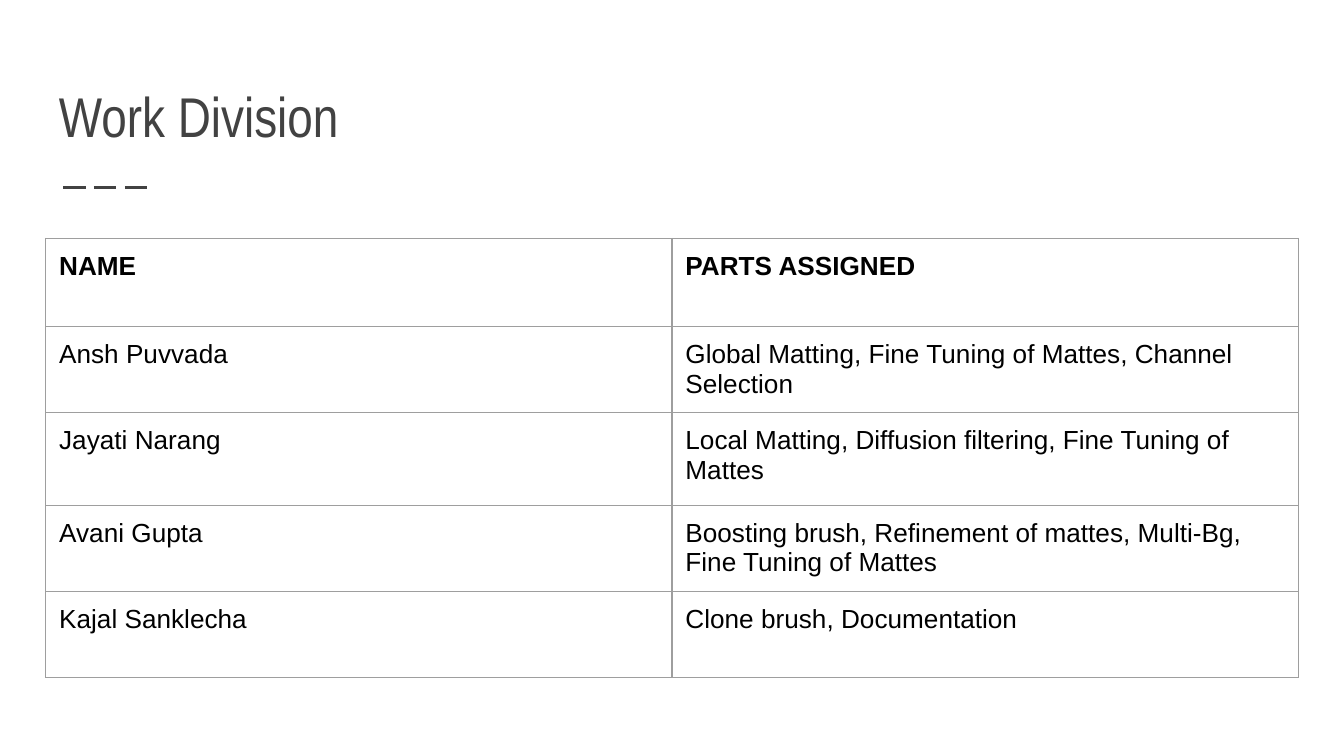
import pptx
import pptx.dml.color
import pptx.enum.dml
import pptx.enum.shapes
import pptx.enum.text
import pptx.oxml.ns
import pptx.util
from lxml import etree

PX = 4572  # EMU per px, 200 px to the inch
PAD = 20
INK, GREY, BLACK = "424242", "9E9E9E", "000000"
ROWS = [
    ("NAME", "PARTS ASSIGNED"),
    ("Ansh Puvvada", "Global Matting, Fine Tuning of Mattes, Channel Selection"),
    ("Jayati Narang", "Local Matting, Diffusion filtering, Fine Tuning of Mattes"),
    ("Avani Gupta", "Boosting brush, Refinement of mattes, Multi-Bg, "
                    "Fine Tuning of Mattes"),
    ("Kajal Sanklecha", "Clone brush, Documentation"),
]
HEIGHTS = [131, 128, 138, 128, 128]


def px(*vals):
    return [pptx.util.Emu(v * PX) for v in vals]


def color(code):
    return pptx.dml.color.RGBColor.from_string(code)


def sub(node, tag, **attrs):
    return etree.SubElement(node, pptx.oxml.ns.qn(tag), attrs)


def write(frame, text, size=14, font="Arial", ink=BLACK, bold=False):
    run = frame.paragraphs[0].add_run()
    run.text = text
    run.font.size = pptx.util.Pt(size)
    run.font.name = font
    run.font.bold = bold
    run.font.color.rgb = color(ink)


def inset(item, low=PAD):
    """Set the margins of a text frame or table cell; low is the bottom one."""
    pad, base = px(PAD, low)
    item.margin_left = item.margin_right = item.margin_top = pad
    item.margin_bottom = base


def border(cell):
    props = cell._tc.get_or_add_tcPr()
    for side in "LRTB":
        line = sub(props, f"a:ln{side}", w=str(pptx.util.Pt(0.75)))
        sub(sub(line, "a:solidFill"), "a:srgbClr", val=GREY)
    cell.fill.background()


def header(slide, x, y, w, h):
    """Place the title and the dashed rule below it."""
    frame = slide.shapes.add_textbox(*px(x, y, w, h)).text_frame
    frame.word_wrap = True
    frame.vertical_anchor = pptx.enum.text.MSO_ANCHOR.BOTTOM
    inset(frame)
    write(frame, "Work Division", size=30, font="Arial Narrow", ink=INK)
    left, top = x + 26, y + h + 37
    rule = slide.shapes.add_connector(
        pptx.enum.shapes.MSO_CONNECTOR.STRAIGHT,
        *px(left, top, left + 134, top))
    rule.line.color.rgb = color(INK)
    rule.line.width = pptx.util.Pt(1.5)
    rule.line.dash_style = pptx.enum.dml.MSO_LINE.LONG_DASH
    sub(rule._element.spPr, "a:effectLst")


def grid(slide, x, y, w):
    """Place the table of names and parts."""
    count = len(ROWS[0])
    table = slide.shapes.add_table(
        len(ROWS), count, *px(x, y, w, sum(HEIGHTS))).table
    table.first_row = table.horz_banding = False
    for col in table.columns:
        col.width, = px(w // count)
    for r, (row, high) in enumerate(zip(ROWS, HEIGHTS)):
        table.rows[r].height, = px(high)
        for c, text in enumerate(row):
            cell = table.cell(r, c)
            inset(cell, low=13)
            border(cell)
            write(cell.text_frame, text, bold=r == 0)


def main():
    deck = pptx.Presentation()
    deck.slide_width, deck.slide_height = px(2000, 1125)
    slide = deck.slides.add_slide(deck.slide_layouts[6])
    header(slide, 68, 82, 1864, 160)
    grid(slide, 68, 355, 1864)
    deck.save("out.pptx")


if __name__ == "__main__":
    main()
